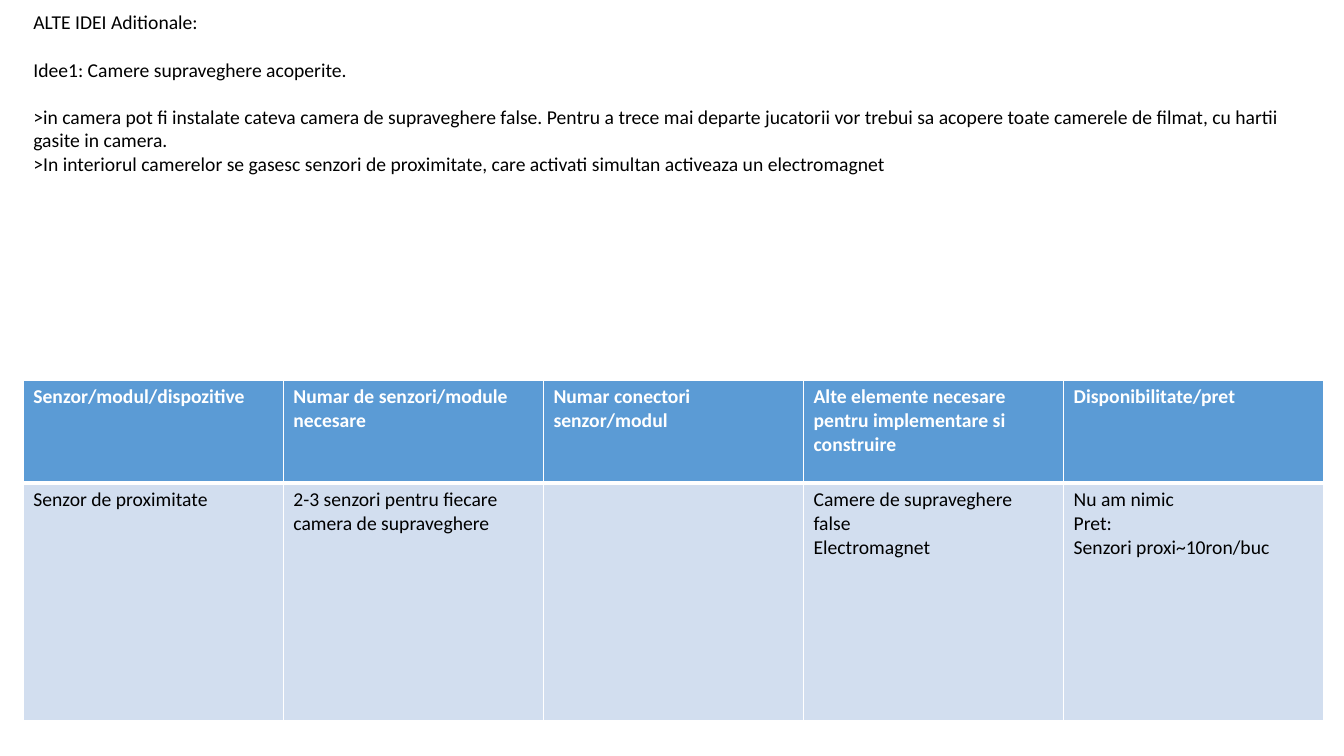
"""Builds a slide with an extra game idea and the table of parts it needs."""
from dataclasses import dataclass

from lxml.etree import SubElement
from pptx import Presentation
from pptx.dml.color import RGBColor
from pptx.enum.text import MSO_ANCHOR, MSO_AUTO_SIZE, PP_ALIGN
from pptx.oxml.ns import qn
from pptx.util import Inches, Length, Pt


@dataclass(frozen=True)
class Theme:
    """Colours, font and type sizes of the slide."""
    face: str = "Calibri"
    size: float = 14
    line: float = 17
    white: str = "FFFFFF"
    black: str = "000000"
    blue: str = "5B9BD5"
    pale: str = "D2DEEF"


@dataclass(frozen=True)
class Box:
    """A frame in columns and rows of a 100 by 100 grid."""
    left: float
    top: float
    width: float
    height: float


@dataclass(frozen=True)
class Line:
    """A paragraph and the number of free lines after it."""
    text: str
    gap: int = 0


@dataclass(frozen=True)
class Band:
    """A table row with its look."""
    height: float
    fill: str
    ink: str
    bold: bool
    edges: dict[str, int]
    cells: tuple[str, ...]


THEME = Theme()
WIDE, HIGH = Inches(13.33), Inches(7.5)
LEFT, SPAN = 1.73, 95.57

HEAD = Line("ALTE IDEI Aditionale:")
IDEA = (
    Line("Idee1: Camere supraveghere acoperite.", 1),
    Line(">in camera pot fi instalate cateva camera de supraveghere false. "
         "Pentru a trece mai departe jucatorii vor trebui sa acopere toate "
         "camerele de filmat, cu hartii gasite in camera."),
    Line(">In interiorul camerelor se gasesc senzori de proximitate, care "
         "activati simultan activeaza un electromagnet"),
)
BANDS = (
    Band(13.6, THEME.blue, THEME.white, True,
         {"lnL": 1, "lnR": 1, "lnT": 1, "lnB": 3},
         ("Senzor/modul/dispozitive", "Numar de senzori/module necesare",
          "Numar conectori senzor/modul",
          "Alte elemente necesare pentru implementare si construire",
          "Disponibilitate/pret")),
    Band(31.47, THEME.pale, THEME.black, False,
         {"lnL": 1, "lnR": 1, "lnT": 3, "lnB": 1},
         ("Senzor de proximitate",
          "2-3 senzori pentru fiecare camera de supraveghere", "",
          "Camere de supraveghere false\nElectromagnet",
          "Nu am nimic\nPret:\nSenzori proxi~10ron/buc")),
)
GRID = Box(LEFT, 50.27, 96.77, sum(band.height for band in BANDS))


def across(cols: float) -> Length:
    """Turn grid columns into a length."""
    return Length(round(WIDE * cols / 100))


def down(rows: float) -> Length:
    """Turn grid rows into a length."""
    return Length(round(HIGH * rows / 100))


def frame(box: Box) -> tuple[Length, Length, Length, Length]:
    """Give the place and size of a box."""
    return across(box.left), down(box.top), across(box.width), down(box.height)


def style(para, ink: str, bold: bool = False) -> None:
    """Set the type of a paragraph."""
    font = para.font
    font.name, font.size, font.bold = THEME.face, Pt(THEME.size), bold
    font.color.rgb = RGBColor.from_string(ink)


def write(shape, box: Box, lines: tuple[Line, ...]) -> None:
    """Place a placeholder and fill it with plain left-aligned lines."""
    shape.left, shape.top, shape.width, shape.height = frame(box)
    text = shape.text_frame
    text.word_wrap, text.auto_size = True, MSO_AUTO_SIZE.NONE
    text.vertical_anchor = MSO_ANCHOR.TOP
    text.text = "\n".join(line.text for line in lines)
    for para, line in zip(text.paragraphs, lines):
        para.alignment, para.line_spacing = PP_ALIGN.LEFT, 1.0
        para.space_before, para.space_after = Pt(0), Pt(line.gap * THEME.line)
        props = para._p.get_or_add_pPr()
        props.set("marL", "0")
        props.set("indent", "0")
        SubElement(props, qn("a:buNone"))
        style(para, THEME.black)


def paint(cell, band: Band, text: str) -> None:
    """Fill a table cell with its text, borders and colour."""
    props = cell._tc.get_or_add_tcPr()
    for tag, width in band.edges.items():
        edge = SubElement(props, qn(f"a:{tag}"), w=str(Pt(width)))
        fill = SubElement(edge, qn("a:solidFill"))
        SubElement(fill, qn("a:srgbClr"), val=THEME.white)
    cell.fill.solid()
    cell.fill.fore_color.rgb = RGBColor.from_string(band.fill)
    cell.text = text
    for para in cell.text_frame.paragraphs:
        style(para, band.ink, band.bold)


def tabulate(slide, box: Box, bands: tuple[Band, ...]) -> None:
    """Draw the table with equal columns."""
    count = len(bands[0].cells)
    table = slide.shapes.add_table(len(bands), count, *frame(box)).table
    for col in table.columns:
        col.width = across(box.width / count)
    for row, band in zip(table.rows, bands):
        row.height = down(band.height)
        for cell, text in zip(row.cells, band.cells):
            paint(cell, band, text)


def main() -> None:
    """Build and save the slide."""
    deck = Presentation()
    deck.slide_width, deck.slide_height = WIDE, HIGH
    slide = deck.slides.add_slide(deck.slide_layouts[1])
    title, body = slide.placeholders
    write(title, Box(LEFT, 0.67, SPAN, 5.33), (HEAD,))
    write(body, Box(LEFT, 6.93, SPAN, 20.27), IDEA)
    tabulate(slide, GRID, BANDS)
    deck.save("out.pptx")


if __name__ == "__main__":
    main()
